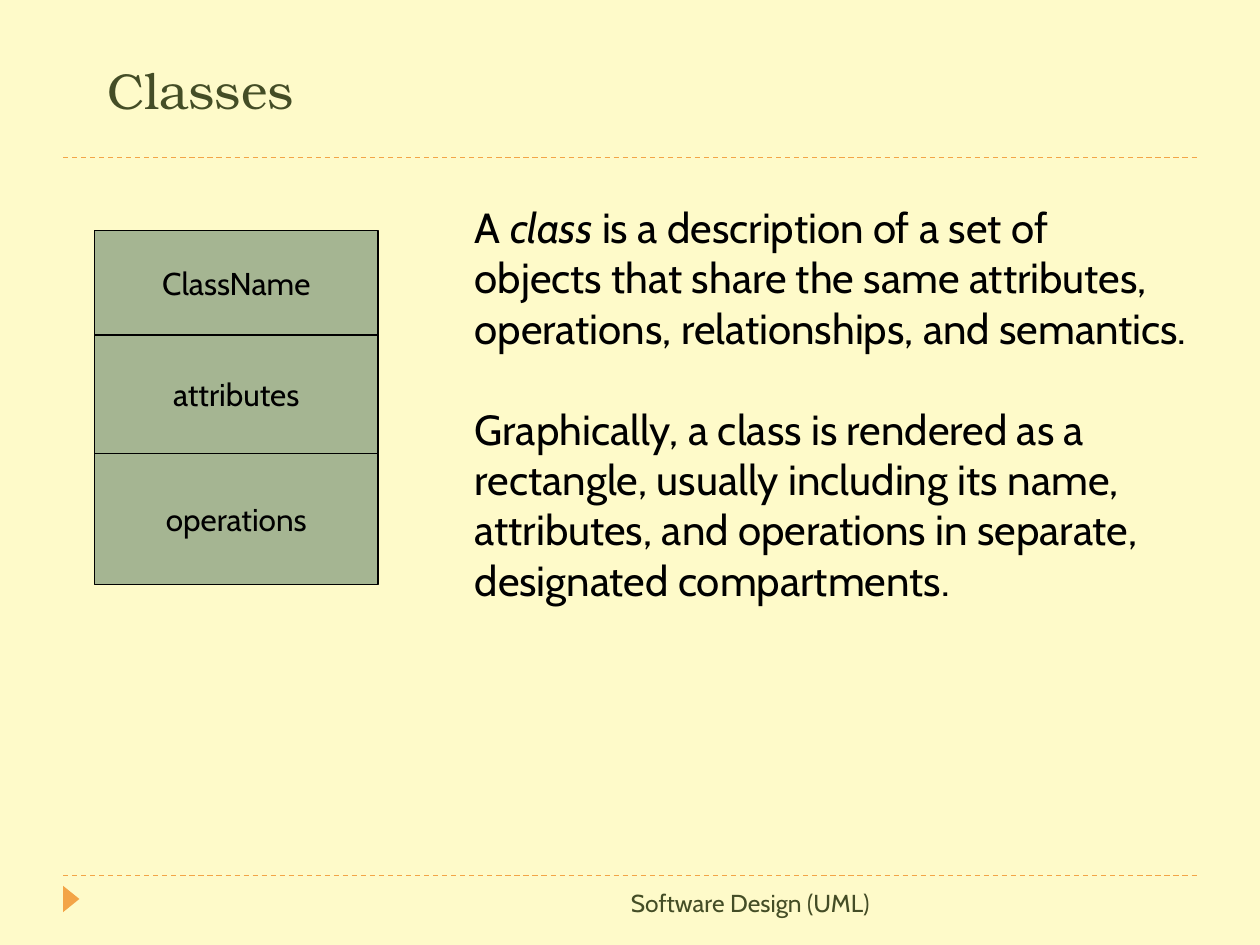
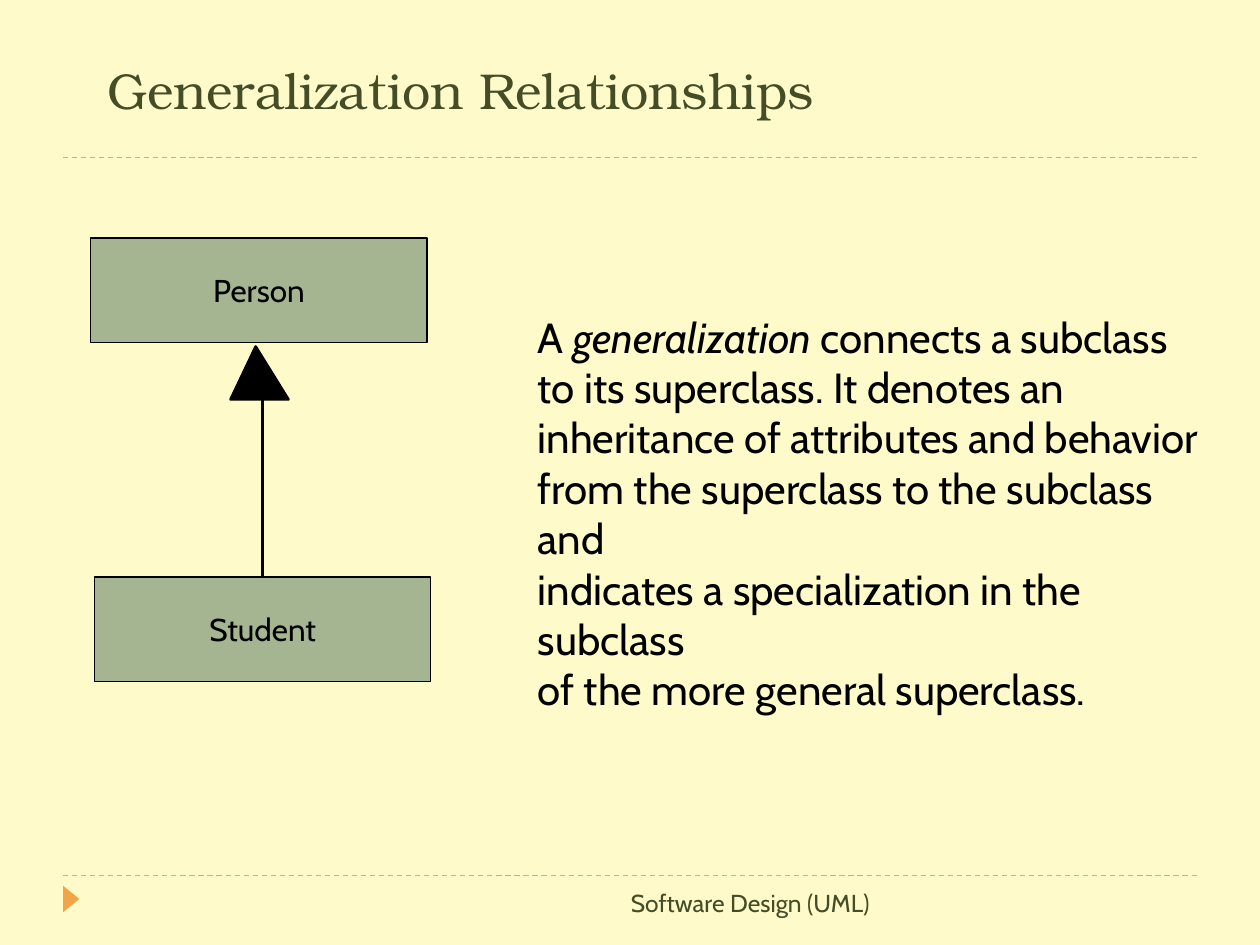
from dataclasses import dataclass

import pptx
import pptx.dml.color
import pptx.enum.dml
import pptx.enum.shapes
import pptx.enum.text
import pptx.oxml.ns
import pptx.util
from lxml import etree

Inches = pptx.util.Inches
Pt = pptx.util.Pt
Align = pptx.enum.text.PP_ALIGN
Anchor = pptx.enum.text.MSO_ANCHOR
AutoSize = pptx.enum.text.MSO_AUTO_SIZE
Shape = pptx.enum.shapes.MSO_SHAPE


def rgb(code):
    return pptx.dml.color.RGBColor.from_string(code)


@dataclass(frozen=True)
class Theme:
    background = rgb("FEFAC9")
    accent = rgb("F3A447")
    class_fill = rgb("A5B592")
    ink = rgb("000000")
    olive = rgb("444D26")
    thin = Pt(0.75)
    thick = Pt(1.5)
    title = {"name": "TeX Gyre Bonum", "size": Pt(28.8), "color": olive}
    body = {"name": "Cabin", "size": Pt(24), "color": ink}
    label = {"name": "Cabin", "size": Pt(18), "color": ink}
    footer = {"name": "Cabin", "size": Pt(14), "color": olive}
    block_gap = Pt(28.8)


# Each text is a list of blocks; a block is a list of lines, and a line
# with emphasis is a list of (words, italic) pairs.
FOOTER = "Software Design (UML)"
RULE_TOPS = (6.95, 1.25)

CLASSES = {
    "title": "Classes",
    "compartments": [("ClassName", 0.83), ("attributes", 0.94), ("operations", 1.04)],
    "text_at": (3.67, 1.55, 6.07, 3.33),
    "text": [
        [
            [("A ", False), ("class", True), (" is a description of a set of", False)],
            "objects that share the same attributes,",
            "operations, relationships, and semantics.",
        ],
        [
            "Graphically, a class is rendered as a",
            "rectangle, usually including its name,",
            "attributes, and operations in separate,",
            "designated compartments.",
        ],
    ],
}

GENERALIZATION = {
    "title": "Generalization Relationships",
    "superclass": ("Person", (0.72, 1.89, 2.67, 0.83)),
    "subclass": ("Student", (0.75, 4.58, 2.67, 0.83)),
    "arrowhead": [(2.03, 2.75), (1.83, 3.17), (2.29, 3.17)],
    "text_at": (4.17, 2.42, 5.56, 2.52),
    "text": [
        [
            [("A ", False), ("generalization", True), (" connects a subclass", False)],
            "to its superclass. It denotes an",
            "inheritance of attributes and behavior",
            "from the superclass to the subclass and",
            "indicates a specialization in the subclass",
            "of the more general superclass.",
        ],
    ],
}


def inches(values):
    return [Inches(value) for value in values]


def set_font(font, style):
    for name, value in style.items():
        if name == "color":
            font.color.rgb = value
        else:
            setattr(font, name, value)


def write_line(para, line, style, alignment=Align.LEFT):
    para.alignment = alignment
    for words, italic in [(line, False)] if isinstance(line, str) else line:
        span = para.add_run()
        span.text = words
        set_font(span.font, {**style, "italic": italic})


def paint(shape, fill, line=None, width=Theme.thin):
    shape.shadow.inherit = False
    shape.fill.solid()
    shape.fill.fore_color.rgb = fill
    if line is None:
        shape.line.fill.background()
    else:
        shape.line.color.rgb = line
        shape.line.width = width


def add_line(page, start, end, color, width):
    line = page.shapes.add_connector(
        pptx.enum.shapes.MSO_CONNECTOR.STRAIGHT, *start, *end)
    line.line.color.rgb = color
    line.line.width = width
    etree.SubElement(line._element.spPr, pptx.oxml.ns.qn("a:effectLst"))
    return line


def add_page(deck, title):
    """Add a slide with its title, dashed rules, marker and footer."""
    page = deck.slides.add_slide(deck.slide_layouts[5])
    for top in RULE_TOPS:
        rule = add_line(page, inches((0.5, top)), inches((9.5, top)),
                        Theme.accent, Theme.thin)
        rule.line.dash_style = pptx.enum.dml.MSO_LINE.DASH

    marker = page.shapes.add_shape(
        Shape.ISOSCELES_TRIANGLE, *inches((0.46, 7.07, 0.21, 0.13)))
    marker.rotation = 90
    paint(marker, Theme.accent)

    footer = page.shapes.add_textbox(*inches((2.58, 7, 4.42, 0.5))).text_frame
    footer.word_wrap = True
    write_line(footer.paragraphs[0], FOOTER, Theme.footer, Align.RIGHT)

    heading = page.shapes.title
    heading.left, heading.top, heading.width, heading.height = inches(
        (0.75, 0.42, 8.58, 0.58))
    heading.text_frame.vertical_anchor = Anchor.BOTTOM
    heading.text_frame.auto_size = AutoSize.NONE
    write_line(heading.text_frame.paragraphs[0], title, Theme.title)
    return page


def add_class_box(page, name, place):
    box = page.shapes.add_shape(Shape.RECTANGLE, *inches(place))
    paint(box, Theme.class_fill, Theme.ink)
    frame = box.text_frame
    frame.word_wrap = False
    frame.vertical_anchor = Anchor.MIDDLE
    write_line(frame.paragraphs[0], name, Theme.label, Align.CENTER)
    return box


def add_body(page, content):
    frame = page.shapes.add_textbox(*inches(content["text_at"])).text_frame
    frame.word_wrap = True
    frame.auto_size = AutoSize.SHAPE_TO_FIT_TEXT
    para = frame.paragraphs[0]
    for block_index, block in enumerate(content["text"]):
        for line_index, line in enumerate(block):
            if block_index or line_index:
                para = frame.add_paragraph()
            if block_index and not line_index:
                para.space_before = Theme.block_gap
            write_line(para, line, Theme.body)


def build_classes(deck):
    page = add_page(deck, CLASSES["title"])
    top = 1.83
    for name, height in CLASSES["compartments"]:
        add_class_box(page, name, (0.75, top, 2.25, height))
        top += height
    add_body(page, CLASSES)


def build_generalization(deck):
    page = add_page(deck, GENERALIZATION["title"])
    add_class_box(page, *GENERALIZATION["superclass"])
    add_body(page, GENERALIZATION)
    subclass = add_class_box(page, *GENERALIZATION["subclass"])

    tip, *base = [inches(point) for point in GENERALIZATION["arrowhead"]]
    middle = subclass.left + subclass.width // 2
    stem = add_line(page, (middle, subclass.top), (middle, base[0][1]),
                    Theme.ink, Theme.thick)
    stem.begin_connect(subclass, 0)

    outline = page.shapes.build_freeform(*tip)
    outline.add_line_segments(base, close=True)
    paint(outline.convert_to_shape(), Theme.ink, Theme.ink, Theme.thick)


def main():
    deck = pptx.Presentation()
    deck.slide_width, deck.slide_height = inches((10, 7.5))
    background = deck.slide_master.background.fill
    background.solid()
    background.fore_color.rgb = Theme.background
    build_classes(deck)
    build_generalization(deck)
    deck.save("out.pptx")


if __name__ == "__main__":
    main()
